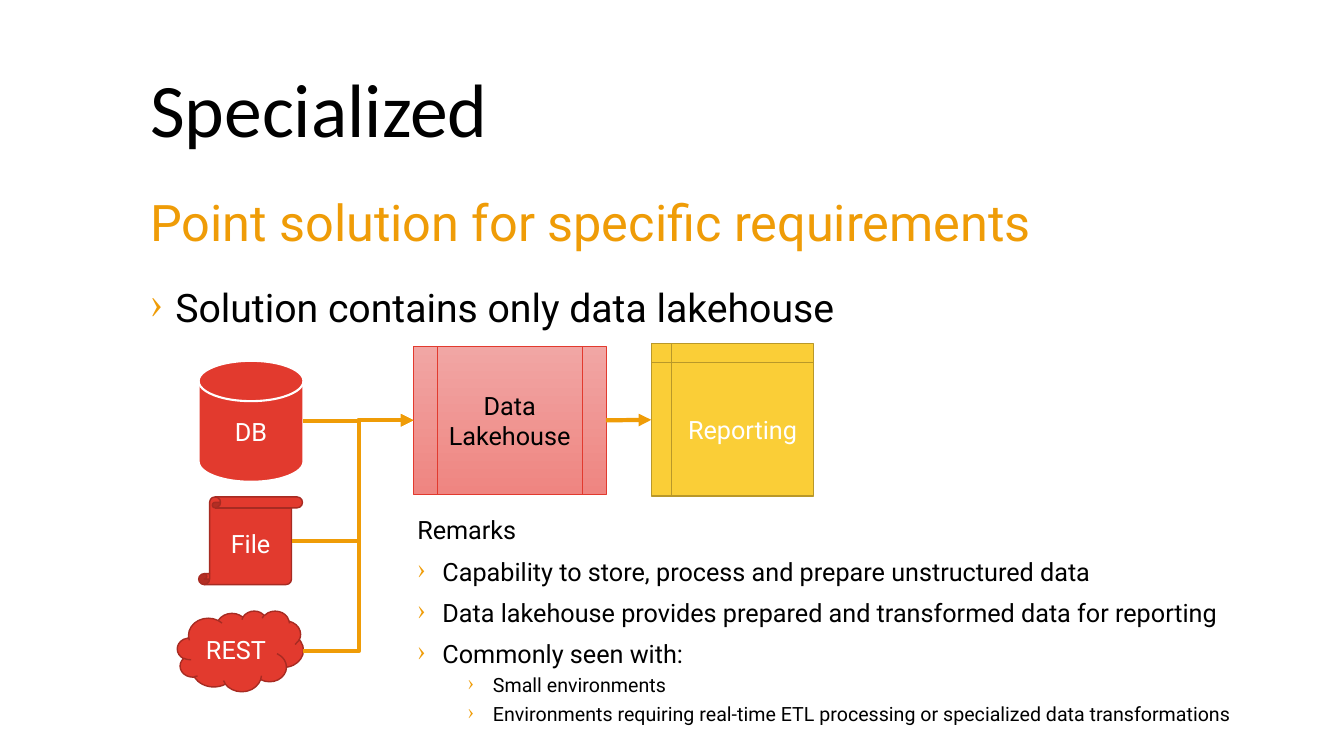
"""Build the slide on the specialized data lakehouse solution."""
from lxml import etree
from pptx import Presentation
from pptx.dml.color import RGBColor
from pptx.enum.shapes import MSO_CONNECTOR, MSO_SHAPE
from pptx.enum.text import MSO_ANCHOR, PP_ALIGN
from pptx.oxml.ns import qn
from pptx.util import Inches, Pt

ELBOW, STRAIGHT = MSO_CONNECTOR.ELBOW, MSO_CONNECTOR.STRAIGHT
DISK, CLOUD = MSO_SHAPE.FLOWCHART_MAGNETIC_DISK, MSO_SHAPE.CLOUD
SCROLL, STORAGE = MSO_SHAPE.VERTICAL_SCROLL, MSO_SHAPE.FLOWCHART_INTERNAL_STORAGE
PROCESS = MSO_SHAPE.FLOWCHART_PREDEFINED_PROCESS
TOP, MIDDLE, CENTER = MSO_ANCHOR.TOP, MSO_ANCHOR.MIDDLE, PP_ALIGN.CENTER

BLACK = RGBColor(0x00, 0x00, 0x00)
WHITE = RGBColor(0xFF, 0xFF, 0xFF)
ORANGE = RGBColor(0xEF, 0x9C, 0x07)
RED = RGBColor(0xE2, 0x3A, 0x2E)
DARK_RED = RGBColor(0xA7, 0x2B, 0x22)
YELLOW = RGBColor(0xFA, 0xCE, 0x37)
DARK_YELLOW = RGBColor(0xB9, 0x98, 0x29)
PINK = RGBColor(0xF1, 0xA6, 0xA4)
DEEP_PINK = RGBColor(0xEF, 0x85, 0x81)

WIDTH, HEIGHT = Inches(13.33), Inches(7.5)
BODY_FONT, TITLE_FONT = "Roboto", "Calibri"
LEFT, SPAN = 10.43, 81.1
BUS = 26.7
BULLET_INDENT = Inches(0.25)

STYLES = {
    "title": {"size": 54, "font": TITLE_FONT, "color": BLACK, "before": 0},
    "subtitle": {"size": 36, "color": ORANGE},
    "statement": {"size": 28, "indent": 0.25},
    "heading": {"size": 18},
    "remark": {"size": 18, "indent": 0.25},
    "detail": {"size": 14, "indent": 0.75, "before": 5, "level": 1},
}
TEXTS = [
    ((LEFT, 5.33, SPAN, 19.2), MIDDLE, [("title", "Specialized")]),
    ((LEFT, 37.47, SPAN, 7.87), TOP, [("statement", "Solution contains only data lakehouse")]),
    ((LEFT, 25.47, SPAN, 9.6), TOP, [("subtitle", "Point solution for specific requirements")]),
    ((30.31, 67.87, 64.29, 30.53), TOP, [
        ("heading", "Remarks"),
        ("remark", "Capability to store, process and prepare unstructured data"),
        ("remark", "Data lakehouse provides prepared and transformed data for reporting"),
        ("remark", "Commonly seen with:"),
        ("detail", "Small environments"),
        ("detail", "Environments requiring real-time ETL processing or specialized data transformations"),
    ]),
]
NODES = [
    ("DB", DISK, (14.78, 47.73, 7.8, 16), [RED], WHITE, 1.5, WHITE),
    ("REST", CLOUD, (13.2, 80.8, 9.38, 10.67), [RED], DARK_RED, 1, WHITE),
    ("File", SCROLL, (14.78, 65.73, 7.73, 11.6), [RED], DARK_RED, 1, WHITE),
    ("Reporting", STORAGE, (48.46, 45.47, 12.08, 20.13), [YELLOW], DARK_YELLOW, 1, WHITE),
    ("Data Lakehouse", PROCESS, (30.76, 45.87, 14.33, 19.47), [PINK, DEEP_PINK], RED, 0.5, BLACK),
]
SOURCES = {"DB": 0, "REST": 0, "File": 0.8}


def place(box):
    """Turn percentages of the slide into lengths."""
    return [int(share * side / 100) for share, side in zip(box, (WIDTH, HEIGHT) * 2)]


def apply(target, values):
    """Set attributes from a dict."""
    for name, value in values.items():
        setattr(target, name, value)


def write(paragraph, text, size, color, font=BODY_FONT):
    """Add a formatted run."""
    run = paragraph.add_run()
    run.text = text
    apply(run.font, {"name": font, "size": Pt(size)})
    run.font.color.rgb = color


def add_bullet(paragraph, indent):
    """Give the paragraph an orange angle bullet with a hanging indent."""
    properties = paragraph._p.get_or_add_pPr()
    properties.set("marL", str(Inches(indent)))
    properties.set("indent", str(-BULLET_INDENT))
    color = etree.SubElement(properties, qn("a:buClr"))
    etree.SubElement(color, qn("a:srgbClr"), val=str(ORANGE))
    etree.SubElement(properties, qn("a:buChar"), char="›")


def add_text(slide, box, anchor, lines):
    """Add a text box with one paragraph per line."""
    frame = slide.shapes.add_textbox(*place(box)).text_frame
    apply(frame, {"word_wrap": True, "vertical_anchor": anchor})
    for index, (style_name, text) in enumerate(lines):
        style = STYLES[style_name]
        paragraph = frame.add_paragraph() if index else frame.paragraphs[0]
        apply(paragraph, {"line_spacing": 0.9, "space_before": Pt(style.get("before", 10)),
                          "level": style.get("level", 0)})
        if "indent" in style:
            add_bullet(paragraph, style["indent"])
        write(paragraph, text, style["size"], style.get("color", BLACK), style.get("font", BODY_FONT))


def add_node(slide, label, kind, box, fills, line_color, line_width, text_color):
    """Add a labelled shape of the data flow."""
    shape = slide.shapes.add_shape(kind, *place(box))
    shape.shadow.inherit = False
    if len(fills) > 1:
        shape.fill.gradient()
        shape.fill.gradient_angle = 270
        for stop, color in zip(shape.fill.gradient_stops, fills):
            stop.color.rgb = color
    else:
        shape.fill.solid()
        shape.fill.fore_color.rgb = fills[0]
    shape.line.color.rgb = line_color
    shape.line.width = Pt(line_width)
    apply(shape.text_frame, {"word_wrap": True, "vertical_anchor": MIDDLE})
    paragraph = shape.text_frame.paragraphs[0]
    paragraph.alignment = CENTER
    write(paragraph, label, 18, text_color)
    return shape


def add_arrow(slide, kind, begin, end):
    """Add an orange arrow between two points."""
    arrow = slide.shapes.add_connector(kind, *begin, *end)
    arrow.line.color.rgb = ORANGE
    arrow.line.width = Pt(3)
    etree.SubElement(arrow.line._get_or_add_ln(), qn("a:tailEnd"), type="triangle")
    etree.SubElement(arrow._element.spPr, qn("a:effectLst"))
    return arrow


def side_middle(shape, right):
    """Return the middle of the left or right side."""
    return shape.left + shape.width * right, shape.top + shape.height // 2


def main():
    """Build and save the slide."""
    presentation = Presentation()
    apply(presentation, {"slide_width": WIDTH, "slide_height": HEIGHT})
    slide = presentation.slides.add_slide(presentation.slide_layouts[6])
    for text in TEXTS:
        add_text(slide, *text)
    nodes = {node[0]: add_node(slide, *node) for node in NODES}
    lakehouse, reporting = nodes["Data Lakehouse"], nodes["Reporting"]

    end = side_middle(lakehouse, 0)
    bus = place((BUS,))[0]
    for name, inset in SOURCES.items():
        right, middle = side_middle(nodes[name], 1)
        begin = (right - place((inset,))[0], middle)
        arrow = add_arrow(slide, ELBOW, begin, end)
        bend = round(100000 * (bus - begin[0]) / (end[0] - begin[0]))
        guides = arrow._element.spPr.find(qn("a:prstGeom")).get_or_add_avLst()
        etree.SubElement(guides, qn("a:gd"), name="adj1", fmla=f"val {bend}")

    arrow = add_arrow(slide, STRAIGHT, side_middle(lakehouse, 1), side_middle(reporting, 0))
    arrow.begin_connect(lakehouse, 3)
    arrow.end_connect(reporting, 1)
    presentation.save("out.pptx")


if __name__ == "__main__":
    main()
